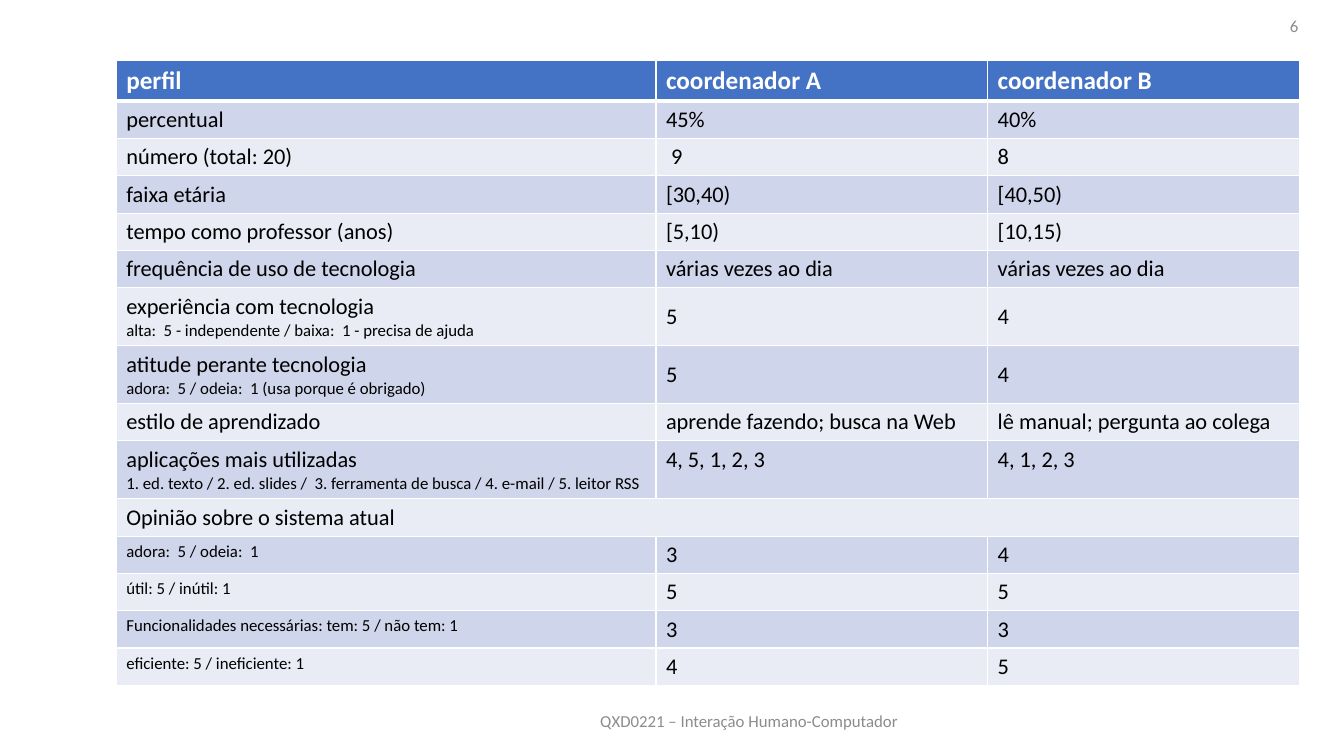
import pptx
import pptx.dml.color
import pptx.enum.text
import pptx.oxml
import pptx.oxml.ns
import pptx.util

Cm, Pt = pptx.util.Cm, pptx.util.Pt
ANCHOR = pptx.enum.text.MSO_ANCHOR
ALIGN = pptx.enum.text.PP_ALIGN

HEADER = ("perfil", "coordenador A", "coordenador B")
# A line break in the first column starts the small note under the label
PROFILE = [
    ("percentual", "45%", "40%"),
    ("número (total: 20)", " 9", "8"),
    ("faixa etária", "[30,40)", "[40,50)"),
    ("tempo como professor (anos)", "[5,10)", "[10,15)"),
    ("frequência de uso de tecnologia", "várias vezes ao dia", "várias vezes ao dia"),
    ("experiência com tecnologia\n"
     "alta:  5 - independente / baixa:  1 - precisa de ajuda", "5", "4"),
    ("atitude perante tecnologia\n"
     "adora:  5 / odeia:  1 (usa porque é obrigado)", "5", "4"),
    ("estilo de aprendizado", "aprende fazendo; busca na Web", "lê manual; pergunta ao colega"),
    ("aplicações mais utilizadas\n"
     "1. ed. texto / 2. ed. slides /  3. ferramenta de busca / 4. e-mail / 5. leitor RSS",
     "4, 5, 1, 2, 3", "4, 1, 2, 3"),
]
OPINION_TITLE = ("Opinião sobre o sistema atual", "", "")
OPINIONS = [
    ("adora:  5 / odeia:  1", "3", "4"),
    ("útil: 5 / inútil: 1", "5", "5"),
    ("Funcionalidades necessárias: tem: 5 / não tem: 1", "3", "3"),
    ("eficiente: 5 / ineficiente: 1", "4", "5"),
]
ROWS = [HEADER, *PROFILE, OPINION_TITLE, *OPINIONS]
OPINION_ROW = ROWS.index(OPINION_TITLE)


def rgb(value):
    return pptx.dml.color.RGBColor.from_string(value)


class Deck:
    font = "Calibri"
    blue, white, black, grey = "4472C4", "FFFFFF", "000000", "8C8C8C"
    bands = ("E9EBF5", "CFD5EA")
    head_size, body_size, note_size = 18, 16, 12

    def __init__(self, prs):
        self.slide = prs.slides.add_slide(prs.slide_layouts[6])

    def style(self, p, size, color, bold=False):
        for r in p.runs:
            r.font.name, r.font.size, r.font.bold = self.font, Pt(size), bold
            r.font.color.rgb = rgb(color)

    def label(self, text, left, top, width, height, align):
        tf = self.slide.shapes.add_textbox(Cm(left), Cm(top), Cm(width), Cm(height)).text_frame
        tf.word_wrap = True
        tf.vertical_anchor = ANCHOR.MIDDLE
        tf.text = text
        p = tf.paragraphs[0]
        p.alignment = align
        self.style(p, self.note_size, self.grey)

    def borders(self, cell, top, bottom):
        tcPr = cell._tc.get_or_add_tcPr()
        for side, width in (("L", 1), ("R", 1), ("T", top), ("B", bottom)):
            tcPr.append(pptx.oxml.parse_xml(
                f'<a:ln{side} {pptx.oxml.ns.nsdecls("a")} w="{Pt(width)}"><a:solidFill>'
                f'<a:srgbClr val="{self.white}"/></a:solidFill></a:ln{side}>'))

    def cell(self, cell, text, row, col):
        head = row == 0
        self.borders(cell, 3 if row == 1 else 1, 3 if head else 1)
        cell.fill.solid()
        cell.fill.fore_color.rgb = rgb(self.blue if head else self.bands[row % 2])
        cell.text_frame.text = text
        if col and "\n" in ROWS[row][0] and row < OPINION_ROW - 1:
            cell.vertical_anchor = ANCHOR.MIDDLE
        for i, p in enumerate(cell.text_frame.paragraphs):
            note = i > 0 or (col == 0 and row > OPINION_ROW)
            size = self.head_size if head else self.note_size if note else self.body_size
            self.style(p, size, self.white if head else self.black, head)

    def table(self, left, top, widths):
        heights = [1.02] + [1.46 if "\n" in row[0] else 0.94 for row in ROWS[1:]]
        table = self.slide.shapes.add_table(
            len(ROWS), len(widths), Cm(left), Cm(top), Cm(sum(widths)), Cm(sum(heights))).table
        for column, width in zip(table.columns, widths):
            column.width = Cm(width)
        for row, height in zip(table.rows, heights):
            row.height = Cm(height)
        table.cell(OPINION_ROW, 0).merge(table.cell(OPINION_ROW, len(widths) - 1))
        for i, texts in enumerate(ROWS):
            for j, text in enumerate(texts):
                cell = table.cell(i, j)
                if not cell.is_spanned:
                    self.cell(cell, text, i, j)


def main():
    prs = pptx.Presentation()
    prs.slide_width, prs.slide_height = Cm(33.87), Cm(19.05)
    deck = Deck(prs)
    # Footer and slide number
    deck.label("QXD0221 – Interação Humano-Computador", 8.86, 17.65, 20.04, 1.02, ALIGN.CENTER)
    deck.label("6", 25.35, 0.13, 7.62, 1.02, ALIGN.RIGHT)
    # Profile table
    deck.table(2.93, 1.53, (13.6, 8.36, 7.85))
    prs.save("out.pptx")


if __name__ == "__main__":
    main()
